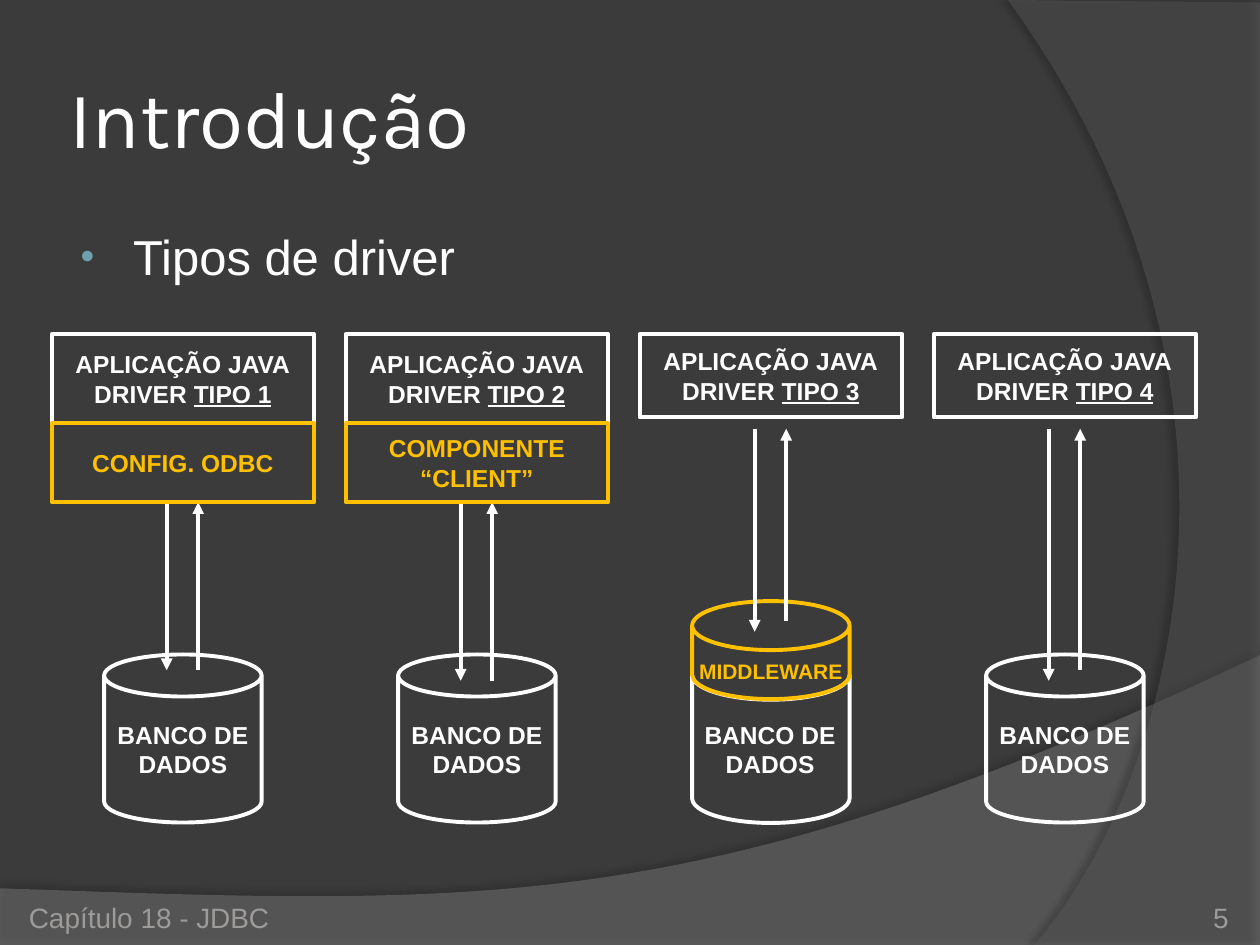
from lxml import etree
from pptx import Presentation
from pptx import util as u
from pptx.dml.color import RGBColor
from pptx.enum import shapes, text
from pptx.oxml import ns

COLORS = {
    "ground": "3B3B3B", "wave": "7F7F7F", "arc": "5E5E5E", "shade": "000000",
    "white": "FFFFFF", "gold": "FFC000", "bullet": "6EA0B0", "footer": "9D9B9A",
}
KIND = shapes.MSO_SHAPE
ALIGN = text.PP_ALIGN
ANCHOR = text.MSO_ANCHOR


def add_xml(parent, tag, **attributes):
    values = {key: str(value) for key, value in attributes.items()}
    return etree.SubElement(parent, ns.qn(tag), values)


def bezier(start, first, second, end, steps=48):
    points = []
    for step in range(steps + 1):
        t = step / steps
        weights = ((1 - t) ** 3, 3 * t * (1 - t) ** 2, 3 * t * t * (1 - t), t ** 3)
        points.append(tuple(
            sum(w * p[axis] for w, p in zip(weights, (start, first, second, end)))
            for axis in (0, 1)))
    return points


class Deck:
    font = "Arial"
    stroke = u.Pt(2.25)

    def __init__(self, width, height):
        self.presentation = Presentation()
        self.presentation.slide_width = u.Pt(width)
        self.presentation.slide_height = u.Pt(height)
        self.slide = self.presentation.slides.add_slide(self.presentation.slide_layouts[6])
        fill = self.slide.background.fill
        fill.solid()
        fill.fore_color.rgb = self.color("ground")

    def color(self, name):
        return RGBColor.from_string(COLORS[name])

    def style(self, paragraph, size, color, bold=False, align=ALIGN.LEFT, font=None):
        paragraph.alignment = align
        paragraph.font.name = font or self.font
        paragraph.font.size = u.Pt(size)
        paragraph.font.bold = bold
        paragraph.font.color.rgb = self.color(color)

    def backdrop(self, points, color, opacity, shade_opacity, distance, direction):
        outline = [(u.Pt(x), u.Pt(y)) for x, y in points]
        builder = self.slide.shapes.build_freeform(*outline[0], scale=1.0)
        builder.add_line_segments(outline[1:], close=True)
        area = builder.convert_to_shape()
        area.line.fill.background()
        area.fill.solid()
        area.fill.fore_color.rgb = self.color(color)
        properties = area._element.spPr
        fill_color = properties.find(ns.qn("a:solidFill"))[0]
        add_xml(fill_color, "a:alpha", val=opacity * 1000)
        area.shadow.inherit = False
        effects = properties.find(ns.qn("a:effectLst"))
        shadow = add_xml(effects, "a:outerShdw", blurRad=u.Pt(4), dist=u.Pt(distance),
                         dir=direction * 60000, algn="ctr", rotWithShape=0)
        shade = add_xml(shadow, "a:srgbClr", val=COLORS["shade"])
        add_xml(shade, "a:alpha", val=shade_opacity * 1000)

    def label(self, words, box, size, color="white", anchor=ANCHOR.TOP,
              align=ALIGN.LEFT, font=None, inset=None):
        frame = self.slide.shapes.add_textbox(*map(u.Pt, box)).text_frame
        frame.word_wrap = True
        frame.vertical_anchor = anchor
        if inset is not None:
            frame.margin_left = frame.margin_right = u.Pt(inset)
            frame.margin_top = frame.margin_bottom = u.Pt(inset)
        paragraph = frame.paragraphs[0]
        paragraph.text = words
        self.style(paragraph, size, color, align=align, font=font)
        return paragraph

    def bullet(self, words, box, size):
        paragraph = self.label(words, box, size)
        paragraph.space_before = u.Pt(size * 0.2)
        properties = paragraph._p.get_or_add_pPr()
        properties.set("marL", str(u.Pt(33)))
        properties.set("indent", str(u.Pt(-30)))
        marks = etree.Element("marks")
        add_xml(add_xml(marks, "a:buClr"), "a:srgbClr", val=COLORS["bullet"])
        add_xml(marks, "a:buSzPct", val=80000)
        add_xml(marks, "a:buFont", typeface="Arial")
        add_xml(marks, "a:buChar", char="•")
        defaults = properties.find(ns.qn("a:defRPr"))
        for mark in list(marks):
            defaults.addprevious(mark)

    def node(self, kind, box, words, color="white", size=14, wrap=True,
             underlined=None, adjustment=None):
        node = self.slide.shapes.add_shape(kind, *map(u.Pt, box))
        node.shadow.inherit = False
        node.fill.background()
        node.line.color.rgb = self.color(color)
        node.line.width = self.stroke
        if adjustment is not None:
            node.adjustments[0] = adjustment
        frame = node.text_frame
        frame.word_wrap = wrap
        frame.vertical_anchor = ANCHOR.MIDDLE
        frame.text = words
        for paragraph in frame.paragraphs:
            self.style(paragraph, size, color, bold=True, align=ALIGN.CENTER)
        if underlined:
            run = frame.paragraphs[0].add_run()
            run.text = underlined
            run.font.underline = True
        return node

    def arrow(self, x, start, end):
        line = self.slide.shapes.add_connector(
            shapes.MSO_CONNECTOR.STRAIGHT, u.Pt(x), u.Pt(start), u.Pt(x), u.Pt(end))
        line.line.color.rgb = self.color("white")
        line.line.width = self.stroke
        add_xml(line.line._get_or_add_ln(), "a:tailEnd", type="triangle")
        add_xml(line._element.spPr, "a:effectLst")

    def save(self):
        self.presentation.save("out.pptx")


def main():
    deck = Deck(720, 540)
    wave = bezier((720, 374.4), (402.5, 525), (281.5, 517.5), (0, 507.6))
    deck.backdrop([(0, 540), (720, 540)] + wave, "wave", 45, 35, 3.5, 270)
    arc = bezier((591, 540), (673.2, 445.7), (733, 216), (576, 0))
    deck.backdrop([(720, 1.5), (720, 540)] + arc, "arc", 40, 45, 4, 180)

    deck.label("Introdução", (36, 21.6, 588, 90), 46, anchor=ANCHOR.MIDDLE,
               font="Karla", inset=3.6)
    deck.bullet("Tipos de driver", (36, 126, 588, 356), 28)

    lefts = [29.5 + 168 * column for column in range(4)]
    app_heights = (51, 51, 47.5, 47.5)
    database = "BANCO DE\nDADOS"
    for number, (left, height) in enumerate(zip(lefts, app_heights), 1):
        deck.node(KIND.RECTANGLE, (left, 191, 150, height),
                  "APLICAÇÃO JAVA\vDRIVER ", underlined=f"TIPO {number}")
        if number == 3:
            storage = deck.node(KIND.FLOWCHART_STORED_DATA, (left + 32.75, 383, 84.5, 90),
                                database, wrap=False)
            storage.rotation = 270
            storage.text_frame._txBody.bodyPr.set("vert", "eaVert")
            deck.node(KIND.CAN, (left + 30, 343.5, 90, 56), "MIDDLEWARE", "gold", 12,
                      wrap=False, adjustment=0.5).text_frame.paragraphs[0].line_spacing = 1.7
        else:
            deck.node(KIND.CAN, (left + 30, 374, 90, 96), database,
                      wrap=False, adjustment=0.267)

    spans = ((287, 383, 383), (287, 389, 389), (245, 361, 355), (245, 389, 383))
    for left, (top, down_end, up_start) in zip(lefts, spans):
        deck.arrow(left + 65.75, top, down_end)
        deck.arrow(left + 83.75, up_start, top)

    for left, layer in zip(lefts, ("CONFIG. ODBC", "COMPONENTE “CLIENT”")):
        deck.node(KIND.RECTANGLE, (left, 242, 150, 45), layer, "gold")

    for words, left, width, align in (("5", 642, 60, ALIGN.RIGHT),
                                      ("Capítulo 18 - JDBC", 16.5, 228, ALIGN.LEFT)):
        deck.label(words, (left, 505.5, width, 28.5), 16, "footer", ANCHOR.BOTTOM,
                   align, inset=0)
    deck.save()


if __name__ == "__main__":
    main()
